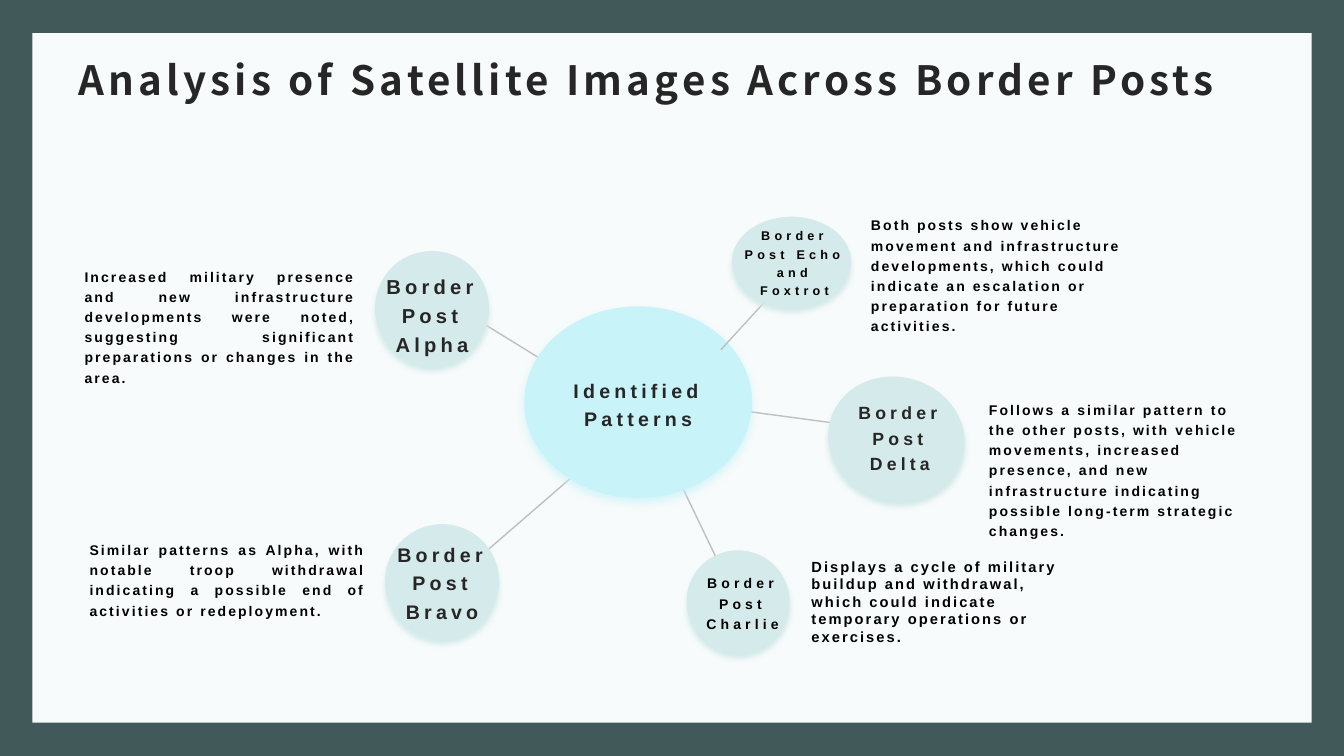
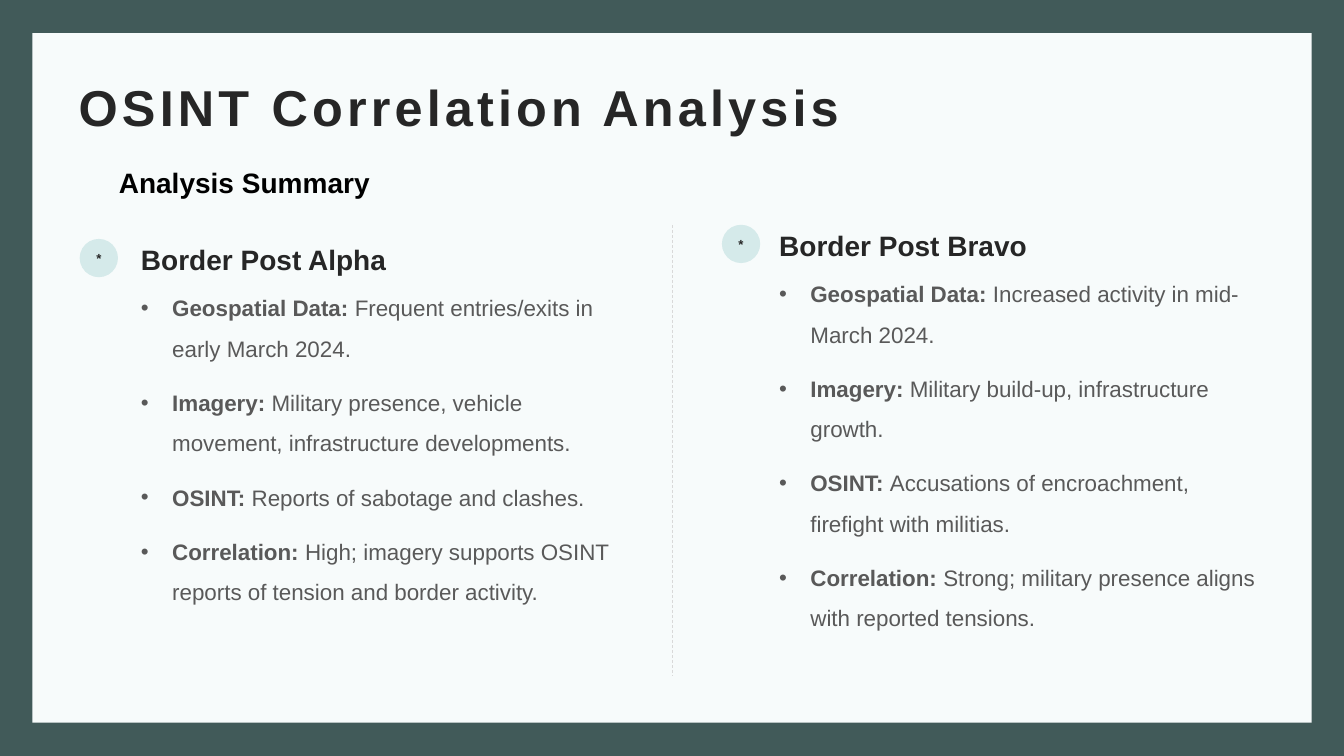
from dataclasses import dataclass

from lxml import etree
from pptx import Presentation
from pptx.dml.color import RGBColor
from pptx.enum.dml import MSO_LINE
from pptx.enum.shapes import MSO_CONNECTOR, MSO_SHAPE
from pptx.enum.text import MSO_ANCHOR, MSO_AUTO_SIZE, PP_ALIGN
from pptx.oxml.ns import qn
from pptx.util import Inches, Pt

FRAME = "415A59"
PANEL = "F7FBFB"
NODE = "D5EAEA"
HUB = "C7F3F9"
DARK = "262626"
BLACK = "000000"
BODY = "595959"
CONNECTOR = "BFBFBF"
DIVIDER = "D9D9D9"
FONT = "Arial"
TITLE_FONT = "Noto Sans CJK SC"
TITLE_ONLY = 5
LEFT, CENTER, JUSTIFY = PP_ALIGN.LEFT, PP_ALIGN.CENTER, PP_ALIGN.JUSTIFY


@dataclass
class Node:
    """A border post: its circle, its line to the hub, its label and its finding."""
    name: str
    circle: tuple
    line: tuple
    label_box: tuple
    label_size: float
    finding: str
    finding_box: tuple
    label_color: str = DARK
    rotation: float = 0
    finding_align: PP_ALIGN = LEFT
    finding_size: float = 10
    finding_spacing: float = 1.2


SIDE_NODES = [
    Node("Border Post Alpha", (3.72, 2.49, 1.13, 1.13), (4.81, 3.22, 5.93, 3.91),
         (3.72, 2.59, 1.13, 1.03), 14.4,
         "Increased military presence and new infrastructure developments were noted, "
         "suggesting significant preparations or changes in the area.",
         (0.74, 2.58, 2.88, 1.21), finding_align=JUSTIFY),
    Node("Border Post Bravo", (3.82, 5.2, 1.13, 1.13), (5.93, 4.51, 4.81, 5.48),
         (3.82, 5.35, 1.13, 0.82), 14,
         "Similar patterns as Alpha, with notable troop withdrawal indicating a "
         "possible end of activities or redeployment.",
         (0.79, 5.29, 2.93, 0.99), finding_align=JUSTIFY),
    Node("Border Post Charlie", (6.81, 5.46, 1.02, 1.01), (6.78, 4.86, 7.15, 5.63),
         (6.78, 5.54, 1.17, 0.86), 10,
         "Displays a cycle of military buildup and withdrawal, which could indicate "
         "temporary operations or exercises.",
         (7.95, 5.48, 2.89, 1.02), label_color=BLACK, rotation=8.3,
         finding_size=10.5, finding_spacing=1),
    Node("Border Post Delta", (8.21, 3.74, 1.36, 1.22), (7.4, 4.08, 8.37, 4.21),
         (8.37, 3.87, 1.11, 0.91), 12.6,
         "Follows a similar pattern to the other posts, with vehicle movements, "
         "increased presence, and new infrastructure indicating possible long-term "
         "strategic changes.",
         (9.71, 3.9, 2.88, 1.04), rotation=14.6),
]
TOP_NODE = Node(
    "Border Post Echo and Foxtrot", (7.26, 2.15, 1.18, 0.89), (7.68, 2.89, 7.15, 3.47),
    (7.26, 2.24, 1.24, 0.71), 9,
    "Both posts show vehicle movement and infrastructure developments, which could "
    "indicate an escalation or preparation for future activities.",
    (8.54, 2.07, 2.82, 1.02), label_color=BLACK)

ALPHA_POINTS = [
    ("Geospatial Data:", "Frequent entries/exits in early March 2024."),
    ("Imagery:", "Military presence, vehicle movement, infrastructure developments."),
    ("OSINT:", "Reports of sabotage and clashes."),
    ("Correlation:", "High; imagery supports OSINT reports of tension and border activity."),
]
BRAVO_POINTS = [
    ("Geospatial Data:", "Increased activity in mid-March 2024."),
    ("Imagery:", "Military build-up, infrastructure growth."),
    ("OSINT:", "Accusations of encroachment, firefight with militias."),
    ("Correlation:", "Strong; military presence aligns with reported tensions."),
]


def rgb(color):
    return RGBColor.from_string(color)


def inches(box):
    return [Inches(value) for value in box]


def format_run(run, size, color, bold=True, tracking=0, font=FONT):
    """Style a run; tracking is the letter spacing in points."""
    run.font.name = font
    run.font.size = Pt(size)
    run.font.bold = bold
    run.font.color.rgb = rgb(color)
    if tracking:
        run._r.get_or_add_rPr().set("spc", str(int(tracking * 100)))


def write(shape, text, size, color, align=LEFT, line_spacing=1, tracking=0,
          anchor=MSO_ANCHOR.TOP, font=FONT):
    """Put one bold paragraph into a shape."""
    frame = shape.text_frame
    frame.word_wrap = True
    frame.auto_size = MSO_AUTO_SIZE.NONE
    frame.vertical_anchor = anchor
    frame.text = text
    paragraph = frame.paragraphs[0]
    paragraph.alignment = align
    paragraph.line_spacing = line_spacing
    format_run(paragraph.runs[0], size, color, tracking=tracking, font=font)


def add_text(slide, box, *content, **style):
    write(slide.shapes.add_textbox(*inches(box)), *content, **style)


def add_filled_shape(slide, preset, box, color):
    shape = slide.shapes.add_shape(preset, *inches(box))
    shape.shadow.inherit = False
    shape.fill.solid()
    shape.fill.fore_color.rgb = rgb(color)
    shape.line.fill.background()
    return shape


def add_glow_below(shape, color, opacity, blur, distance):
    """Give a shape a soft coloured shadow straight below it (lengths in points)."""
    effects = shape.element.spPr.find(qn("a:effectLst"))
    shadow = etree.SubElement(
        effects, qn("a:outerShdw"), blurRad=str(Pt(blur)), dist=str(Pt(distance)),
        dir="5400000", algn="t", rotWithShape="0")
    shade = etree.SubElement(shadow, qn("a:srgbClr"), val=color)
    etree.SubElement(shade, qn("a:alpha"), val=str(opacity * 1000))


def add_line(slide, ends, color, width, dash=None):
    line = slide.shapes.add_connector(MSO_CONNECTOR.STRAIGHT, *inches(ends))
    line.line.color.rgb = rgb(color)
    line.line.width = Pt(width)
    if dash:
        line.line.dash_style = dash
    etree.SubElement(line.element.spPr, qn("a:effectLst"))


def add_titled_slide(presentation, text, size, font=FONT, top=0.67):
    """Add a slide with the dark frame, the light panel and a title."""
    slide = presentation.slides.add_slide(presentation.slide_layouts[TITLE_ONLY])
    slide.background.fill.solid()
    slide.background.fill.fore_color.rgb = rgb(FRAME)
    title = slide.shapes.title
    panel = add_filled_shape(slide, MSO_SHAPE.RECTANGLE, (0.32, 0.33, 12.69, 6.84), PANEL)
    title.element.addprevious(panel.element)
    title.left, title.top, title.width, title.height = inches((0.67, top, 12, 0.77))
    write(title, text, size, DARK, tracking=3, anchor=MSO_ANCHOR.MIDDLE, font=font)
    frame = title.text_frame
    frame.margin_left, frame.margin_right = Inches(0.11), Inches(0.08)
    frame.margin_top = frame.margin_bottom = Inches(0.04)
    return slide


def add_hub(slide, text):
    hub = add_filled_shape(slide, MSO_SHAPE.OVAL, (5.2, 3.04, 2.26, 1.9), HUB)
    add_glow_below(hub, HUB, 70, 6, 3)
    write(hub, text, 14, DARK, CENTER, 1.2, 3, MSO_ANCHOR.MIDDLE)


def add_node(slide, node):
    add_line(slide, node.line, CONNECTOR, 1)
    circle = add_filled_shape(slide, MSO_SHAPE.OVAL, node.circle, NODE)
    circle.rotation = node.rotation
    add_glow_below(circle, NODE, 100, 4, 4)
    add_text(slide, node.label_box, node.name, node.label_size, node.label_color,
             align=CENTER, line_spacing=1.2, tracking=3, anchor=MSO_ANCHOR.MIDDLE)
    add_text(slide, node.finding_box, node.finding, node.finding_size, BLACK,
             align=node.finding_align, line_spacing=node.finding_spacing, tracking=1.5)


def add_bullets(slide, box, points):
    frame = slide.shapes.add_textbox(*inches(box)).text_frame
    frame.word_wrap = True
    for index, (term, detail) in enumerate(points):
        paragraph = frame.add_paragraph() if index else frame.paragraphs[0]
        paragraph.line_spacing = 1.5
        paragraph.space_before = Pt(10)
        properties = paragraph._p.get_or_add_pPr()
        properties.set("marL", str(Inches(0.31)))
        properties.set("indent", str(-Inches(0.31)))
        etree.SubElement(properties, qn("a:buFont"), typeface=FONT)
        etree.SubElement(properties, qn("a:buChar"), char="•")
        for text, bold in ((term + " ", True), (detail, False)):
            run = paragraph.add_run()
            run.text = text
            format_run(run, 16, BODY, bold)


def add_post_column(slide, badge_left, text_left, top, heading, points):
    badge = add_filled_shape(slide, MSO_SHAPE.OVAL, (badge_left, top + 0.01, 0.38, 0.38), NODE)
    write(badge, "*", 9.4, DARK, CENTER, anchor=MSO_ANCHOR.MIDDLE)
    frame = badge.text_frame
    frame.margin_left = frame.margin_right = frame.margin_top = frame.margin_bottom = 0
    add_text(slide, (text_left, top, 5.04, 0.44), heading, 20, DARK)
    add_bullets(slide, (text_left, top + 0.38, 5.04, 4.25), points)


def add_patterns_slide(presentation):
    slide = add_titled_slide(presentation, "Analysis of Satellite Images Across Border Posts",
                             28.8, TITLE_FONT, top=0.4)
    for node in SIDE_NODES:
        add_node(slide, node)
    add_hub(slide, "Identified Patterns")
    add_node(slide, TOP_NODE)


def add_correlation_slide(presentation):
    slide = add_titled_slide(presentation, "OSINT Correlation Analysis", 36)
    add_text(slide, (1.08, 1.59, 5.58, 0.44), "Analysis Summary", 20, BLACK)
    add_line(slide, (6.67, 2.23, 6.67, 6.7), DIVIDER, 0.5, MSO_LINE.DASH)
    add_post_column(slide, 0.79, 1.3, 2.36, "Border Post Alpha", ALPHA_POINTS)
    add_post_column(slide, 7.16, 7.63, 2.22, "Border Post Bravo", BRAVO_POINTS)


def main():
    presentation = Presentation()
    presentation.slide_width, presentation.slide_height = inches((13.33, 7.5))
    add_patterns_slide(presentation)
    add_correlation_slide(presentation)
    presentation.save("out.pptx")


if __name__ == "__main__":
    main()
